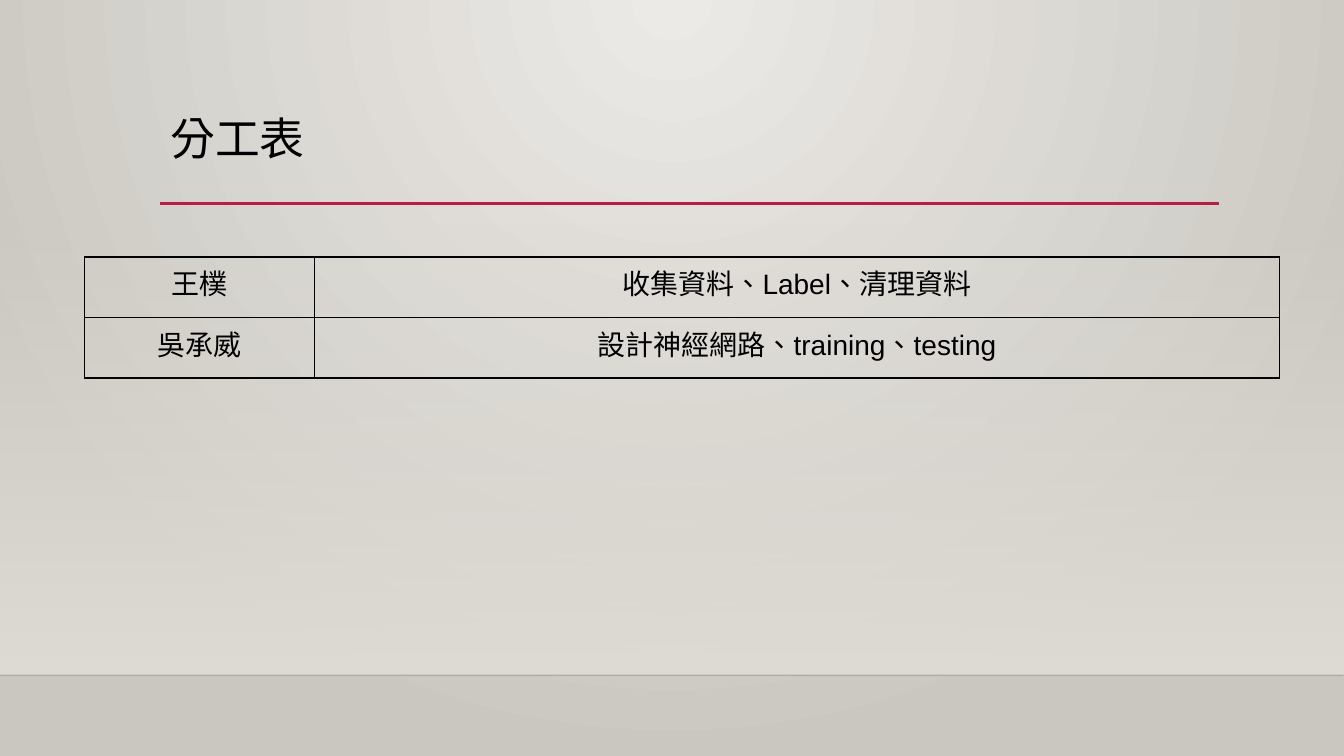
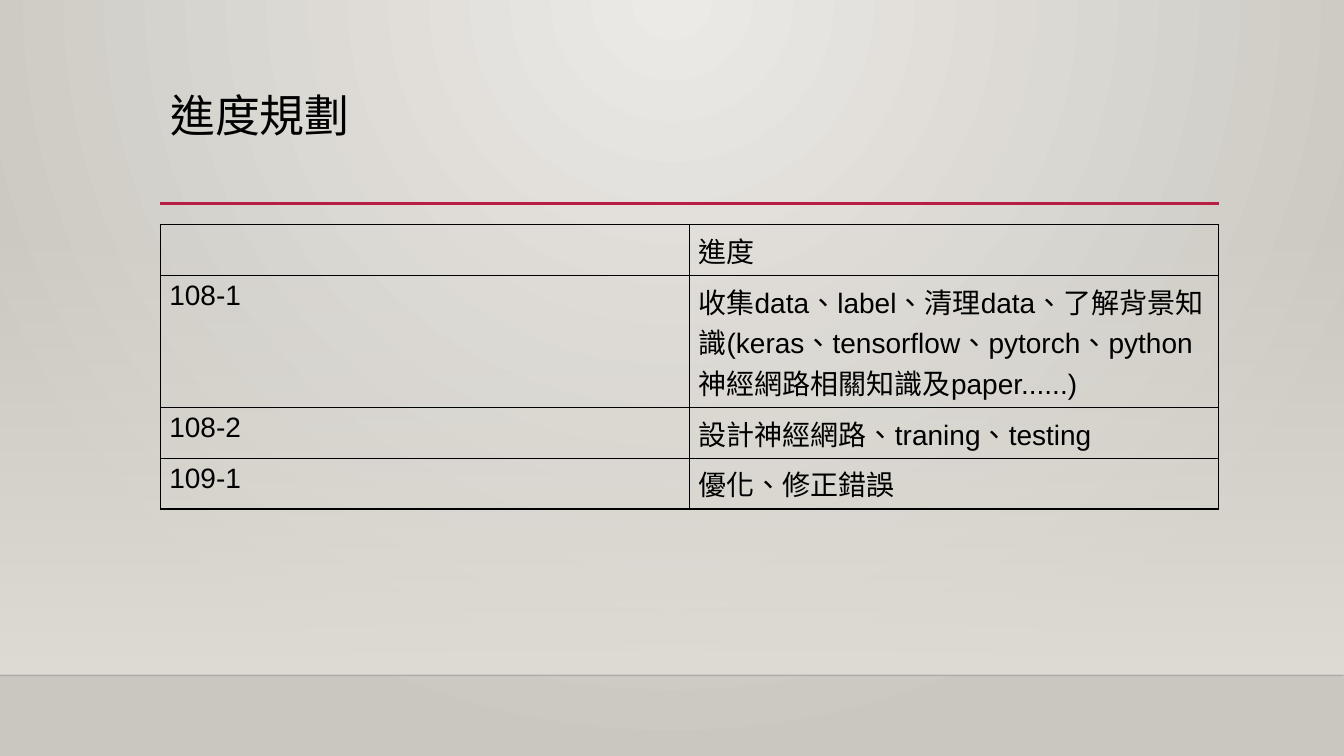
from lxml import etree
from pptx import Presentation
from pptx.dml.color import RGBColor
from pptx.enum.lang import MSO_LANGUAGE_ID as LANG
from pptx.enum.shapes import MSO_CONNECTOR as CONNECTOR, MSO_SHAPE as SHAPE
from pptx.enum.text import MSO_ANCHOR as ANCHOR, PP_ALIGN as ALIGN
from pptx.oxml import parse_xml
from pptx.oxml.ns import nsdecls, qn
from pptx.util import Emu, Pt

WIDTH, HEIGHT = 1333, 750
LEFT, CONTENT_WIDTH = 159, 1050
TITLE_HEIGHT, RULE_Y = 115, 202
BAND_TOP, HORIZON = 221, 670

INK, ACCENT, HORIZON_INK = "000000", "B71E42", "000001"
GLOW, EDGE, WALL = "ECEAE7", "CAC7C1", "DFDBD5"
TITLE_FONT, BODY_FONT = "Calibri", "Arial"

SLIDES = [
    {
        "title": "分工表", "title_top": 111,
        "table_at": (84, 255), "columns": (228, 957), "row_height": 60,
        "inset": 10, "align": ALIGN.CENTER,
        "rows": [
            ("王樸", "收集資料、Label、清理資料"),
            ("吳承威", "設計神經網路、training、testing"),
        ],
    },
    {
        "title": "進度規劃", "title_top": 88,
        "table_at": (LEFT, 223), "columns": (525, 525), "row_height": 41,
        "inset": 9, "align": ALIGN.LEFT,
        "rows": [
            ("", "進度"),
            ("108-1", "收集data、label、清理data、了解背景知識"
                      "(keras、tensorflow、pytorch、python神經網路相關知識及paper......)"),
            ("108-2", "設計神經網路、traning、testing"),
            ("109-1", "優化、修正錯誤"),
        ],
    },
]


def px(value):
    return Emu(value * 9144)


def color(value):
    return RGBColor.from_string(value)


def gradient(start, end, direction, start_alpha=100):
    return (f'<a:gradFill {nsdecls("a")} rotWithShape="1"><a:gsLst>'
            f'<a:gs pos="0"><a:srgbClr val="{start}"><a:alpha val="{start_alpha * 1000}"/>'
            f'</a:srgbClr></a:gs><a:gs pos="100000"><a:srgbClr val="{end}"/></a:gs>'
            f'</a:gsLst>{direction}</a:gradFill>')


def add_line(page, left, right, y, ink, width):
    line = page.shapes.add_connector(CONNECTOR.STRAIGHT, px(left), px(y), px(right), px(y))
    line.line.color.rgb = color(ink)
    line.line.width = Pt(width)
    etree.SubElement(line.element.spPr, qn("a:effectLst"))
    return line


def decorate(layout, page):
    """Draw the shared scenery on the page and move it to its layout."""
    glow = gradient(GLOW, EDGE, '<a:path path="circle">'
                    '<a:fillToRect l="43000" t="0" r="43000" b="100000"/></a:path>')
    layout.element.cSld.insert(0, parse_xml(
        f'<p:bg {nsdecls("p", "a")}><p:bgPr>{glow}<a:effectLst/></p:bgPr></p:bg>'))

    band = page.shapes.add_shape(
        SHAPE.RECTANGLE, 0, px(BAND_TOP), px(WIDTH), px(HORIZON - BAND_TOP))
    band.shadow.inherit = False
    band.line.fill.background()
    fade = gradient(WALL, WALL, '<a:lin ang="5400000" scaled="0"/>', start_alpha=0)
    band.element.spPr.insert(2, parse_xml(fade))

    horizon = add_line(page, 0, WIDTH, HORIZON, HORIZON_INK, 1)
    ink = horizon.element.spPr.find(".//" + qn("a:srgbClr"))
    etree.SubElement(ink, qn("a:alpha")).set("val", "20000")
    rule = add_line(page, LEFT, LEFT + CONTENT_WIDTH, RULE_Y, ACCENT, 2.5)

    tree = layout.shapes.element
    for index, part in enumerate((band, horizon, rule), start=2):
        tree.insert(index, part.element)


def format_text(frame, font, size, align):
    for para in frame.paragraphs:
        para.alignment = align
        for span in para.runs:
            span.font.name = font
            span.font.size = Pt(size)
            span.font.color.rgb = color(INK)
            span.font.language_id = LANG.TRADITIONAL_CHINESE


def set_title(page, text, top):
    title = page.shapes.title
    title.left, title.top = px(LEFT), px(top)
    title.width, title.height = px(CONTENT_WIDTH), px(TITLE_HEIGHT)
    frame = title.text_frame
    frame.text = text
    frame.vertical_anchor = ANCHOR.TOP
    frame.paragraphs[0].line_spacing = 0.9
    format_text(frame, TITLE_FONT, 32, ALIGN.LEFT)


def add_borders(cell):
    properties = cell._tc.get_or_add_tcPr()
    for side in "LRTB":
        properties.append(parse_xml(
            f'<a:ln{side} {nsdecls("a")} w="{Pt(1)}"><a:solidFill>'
            f'<a:srgbClr val="{INK}"/></a:solidFill></a:ln{side}>'))


def add_grid(page, at, columns, row_height, inset, rows, align):
    left, top = at
    table = page.shapes.add_table(
        len(rows), len(columns), px(left), px(top),
        px(sum(columns)), px(row_height * len(rows))).table
    table.first_row = table.horz_banding = False
    for column, width in zip(table.columns, columns):
        column.width = px(width)
    for row, texts in zip(table.rows, rows):
        for cell, text in zip(row.cells, texts):
            add_borders(cell)
            cell.fill.background()
            cell.margin_left = cell.margin_right = px(inset)
            if text:
                cell.text_frame.text = text
                format_text(cell.text_frame, BODY_FONT, 20, align)


def main():
    deck = Presentation()
    deck.slide_height = px(HEIGHT)
    deck.slide_width = Emu(deck.slide_height * 16 // 9)
    layout = deck.slide_layouts.get_by_name("Title Only")
    pages = [deck.slides.add_slide(layout) for _ in SLIDES]
    decorate(layout, pages[0])
    for page, content in zip(pages, SLIDES):
        set_title(page, content["title"], content["title_top"])
        add_grid(page, content["table_at"], content["columns"], content["row_height"],
                 content["inset"], content["rows"], content["align"])
    deck.save("out.pptx")


if __name__ == "__main__":
    main()
